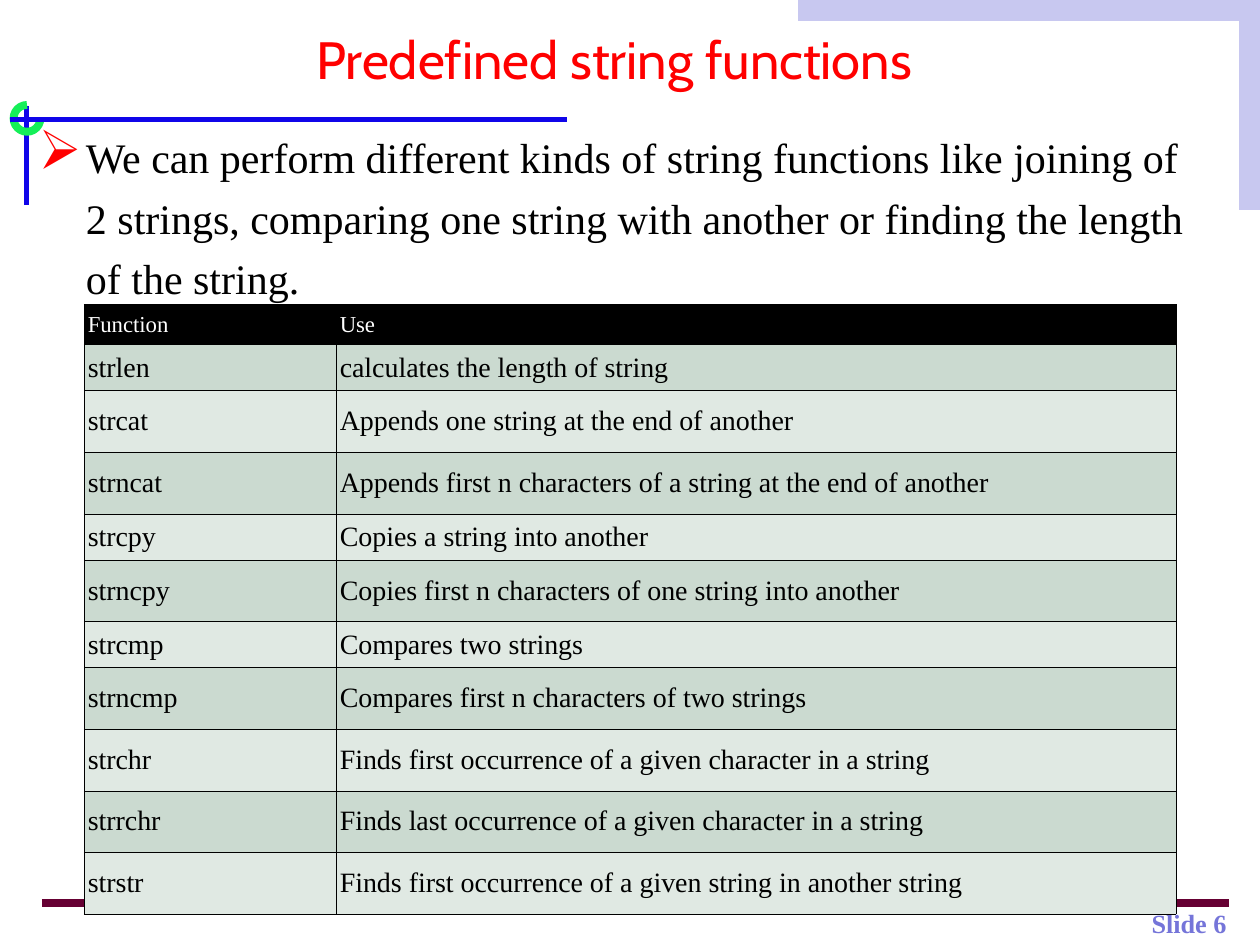
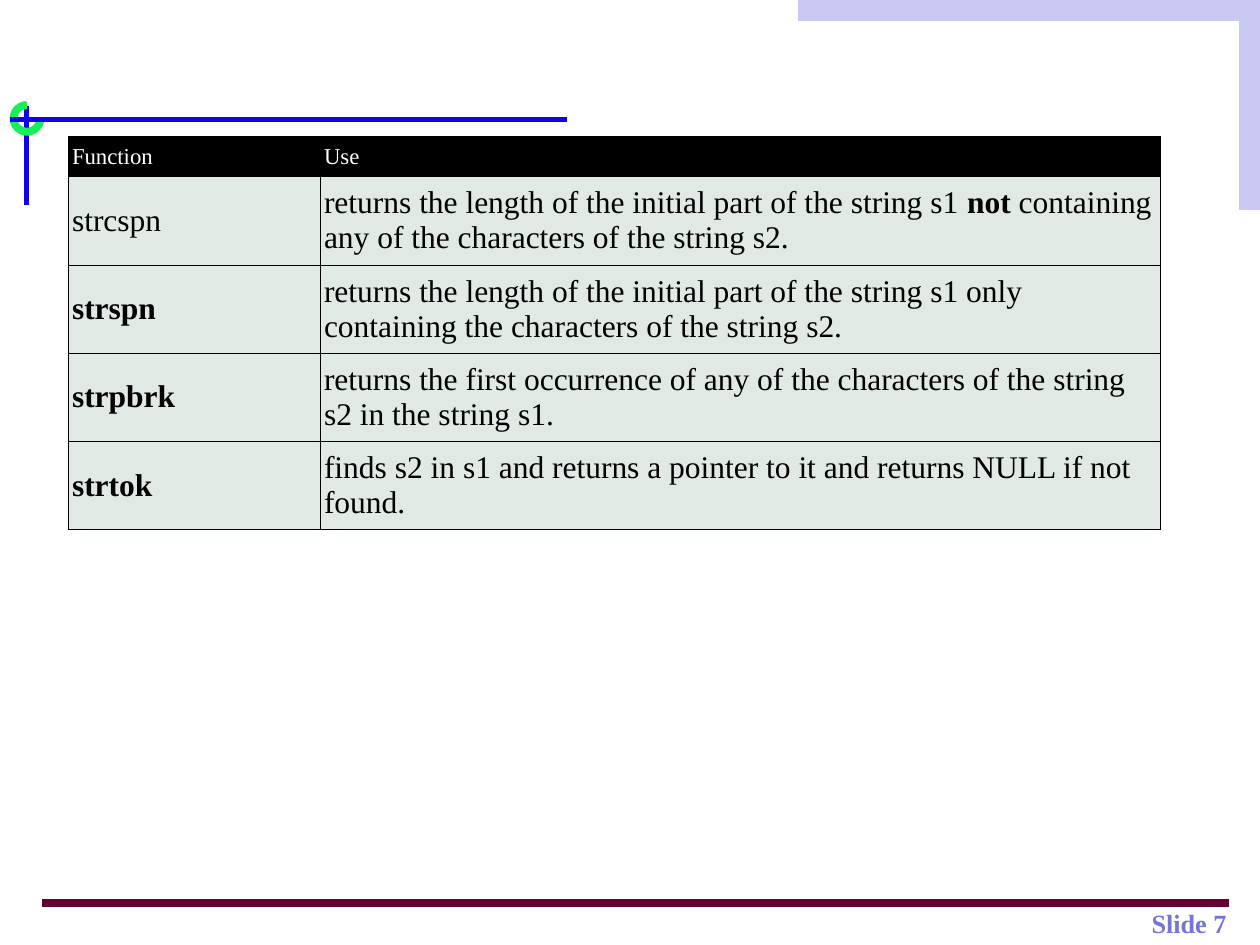
"""Build two slides that list the C string functions in tables."""
from dataclasses import dataclass

from lxml import etree
from pptx import Presentation
from pptx.dml.color import RGBColor
from pptx.enum.shapes import MSO_CONNECTOR, MSO_SHAPE
from pptx.enum.text import MSO_ANCHOR, PP_ALIGN
from pptx.oxml.ns import qn
from pptx.util import Emu, Inches, Pt

STRAIGHT = MSO_CONNECTOR.STRAIGHT
RECTANGLE, ARC = MSO_SHAPE.RECTANGLE, MSO_SHAPE.ARC
TOP, MIDDLE, BOTTOM = MSO_ANCHOR.TOP, MSO_ANCHOR.MIDDLE, MSO_ANCHOR.BOTTOM
LEFT, CENTER, RIGHT = PP_ALIGN.LEFT, PP_ALIGN.CENTER, PP_ALIGN.RIGHT

SLIDE_WIDTH, SLIDE_HEIGHT = Inches(10), Inches(7.5)
GRID_COLUMNS = 240
UNIT = SLIDE_WIDTH / GRID_COLUMNS

SERIF, TITLE_FONT = "Times New Roman", "Cabin"
BLACK, WHITE, RED = "000000", "FFFFFF", "FF0000"
LAVENDER, FOOTER_VIOLET, MAROON = "C8C8F0", "7575D9", "660033"
BLUE, GREEN = "1005E9", "15EF58"
DARK_BAND, LIGHT_BAND = "CBDAD0", "E0E9E3"

BOLD_MARK = "**"
HEADINGS = ("Function", "Use")
COLUMN_WIDTHS = (48, 160)
HEADER_ROW, SHORT_ROW, TALL_ROW, TWO_LINE_ROW = 6.72, 7.92, 11.72, 15.84


@dataclass(frozen=True)
class Box:
    """A rectangle in grid units."""
    left: float
    top: float
    width: float
    height: float

    def lengths(self) -> tuple:
        return tuple(grid(n) for n in (self.left, self.top, self.width, self.height))


@dataclass(frozen=True)
class Rule:
    """A straight line in grid units."""
    start: tuple
    end: tuple
    color: str
    points: float


@dataclass(frozen=True)
class Entry:
    """One table row: a function, its use and the row height."""
    function: str
    use: str
    height: float


@dataclass(frozen=True)
class FunctionTable:
    """A table of functions with its place, text size and band colours."""
    left: float
    top: float
    size: float
    bands: tuple
    entries: tuple


FOOTER_RULE = Rule((8, 172), (234, 172), MAROON, 4.5)
VERTICAL_RULE = Rule((5, 20.2), (5, 39), BLUE, 3)
TITLE_RULE = Rule((2, 22.8), (108, 22.8), BLUE, 3)
CORNER_BANDS = (Box(152, 0, 88, 4), Box(236, 4, 4, 36))
RING_BOX = Box(2.6, 20, 5.1, 5.1)
FOOTER_BOX = Box(8, 168, 228, 12)
TITLE_BOX = Box(0, 2, 234, 16.3)
BODY_BOX = Box(5, 22, 224, 108)

BODY = ("We can perform different kinds of string functions like joining of 2 strings, "
        "comparing one string with another or finding the length of the string.")

BASIC_FUNCTIONS = FunctionTable(16, 58, 16, (DARK_BAND, LIGHT_BAND), (
    Entry("strlen", "calculates the length of string", SHORT_ROW),
    Entry("strcat", "Appends one string at the end of another", TALL_ROW),
    Entry("strncat", "Appends first n characters of a string at the end of another", TALL_ROW),
    Entry("strcpy", "Copies a string into another", SHORT_ROW),
    Entry("strncpy", "Copies first n characters of one string into another", TALL_ROW),
    Entry("strcmp", "Compares two strings", SHORT_ROW),
    Entry("strncmp", "Compares first n characters of two strings", TALL_ROW),
    Entry("strchr", "Finds first occurrence of a given character in a string", TALL_ROW),
    Entry("strrchr", "Finds last occurrence of a given character in a string", TALL_ROW),
    Entry("strstr", "Finds first occurrence of a given string in another string", TALL_ROW),
))

SEARCH_FUNCTIONS = FunctionTable(13, 26, 18, (LIGHT_BAND,), (
    Entry("strcspn", "returns the length of the initial part of the string s1 **not **"
          "containing any of the characters of the string s2.", TWO_LINE_ROW),
    Entry("**strspn**", "returns the length of the initial part of the string s1 "
          "only containing the characters of the string s2.", TWO_LINE_ROW),
    Entry("**strpbrk**", "returns the first occurrence of any of the characters of the "
          "string s2 in the string s1.", TWO_LINE_ROW),
    Entry("**strtok**", "finds s2 in s1 and returns a pointer to it and returns NULL "
          "if not found.", TWO_LINE_ROW),
))


def grid(units: float) -> Emu:
    return Emu(round(units * UNIT))


def rgb(color: str) -> RGBColor:
    return RGBColor.from_string(color)


def write(frame, text: str, *, size: float, color: str = BLACK, font: str = SERIF,
          align=LEFT, anchor=TOP):
    """Fill a text frame, setting the parts between bold marks in bold."""
    frame.word_wrap = True
    frame.vertical_anchor = anchor
    paragraph = frame.paragraphs[0]
    paragraph.alignment = align
    for index, part in enumerate(text.split(BOLD_MARK)):
        if part:
            run = paragraph.add_run()
            run.text = part
            run.font.name = font
            run.font.size = Pt(size)
            run.font.bold = index % 2 == 1
            run.font.color.rgb = rgb(color)
    return paragraph


def add_text(slide, box: Box, text: str, **text_format):
    frame = slide.shapes.add_textbox(*box.lengths()).text_frame
    return write(frame, text, **text_format)


def add_rule(slide, rule: Rule) -> None:
    ends = [grid(n) for n in rule.start + rule.end]
    connector = slide.shapes.add_connector(STRAIGHT, *ends)
    connector.line.color.rgb = rgb(rule.color)
    connector.line.width = Pt(rule.points)
    etree.SubElement(connector._element.spPr, qn("a:effectLst"))


def add_band(slide, box: Box) -> None:
    shape = slide.shapes.add_shape(RECTANGLE, *box.lengths())
    shape.shadow.inherit = False
    shape.fill.solid()
    shape.fill.fore_color.rgb = rgb(LAVENDER)
    shape.line.fill.background()


def add_ring(slide) -> None:
    """Draw three quarters of a ring, open at the upper right."""
    shape = slide.shapes.add_shape(ARC, *RING_BOX.lengths())
    shape.shadow.inherit = False
    shape.adjustments[0] = 0
    shape.adjustments[1] = 162
    shape.fill.background()
    shape.line.color.rgb = rgb(GREEN)
    shape.line.width = Pt(4.5)


def add_bullet(paragraph) -> None:
    properties = paragraph._p.get_or_add_pPr()
    properties.set("marL", str(grid(9)))
    properties.set("indent", str(-grid(9)))
    color = etree.SubElement(properties, qn("a:buClr"))
    etree.SubElement(color, qn("a:srgbClr"), val=RED)
    etree.SubElement(properties, qn("a:buSzPct"), val="130000")
    etree.SubElement(properties, qn("a:buChar"), char="➢")


def add_borders(cell) -> None:
    properties = cell._tc.get_or_add_tcPr()
    for index, side in enumerate(("a:lnL", "a:lnR", "a:lnT", "a:lnB")):
        line = etree.Element(qn(side), w=str(Pt(0.28)))
        fill = etree.SubElement(line, qn("a:solidFill"))
        etree.SubElement(fill, qn("a:srgbClr"), val=BLACK)
        properties.insert(index, line)


def fill_cell(cell, text: str, fill: str, **text_format) -> None:
    write(cell.text_frame, text, **text_format)
    cell.vertical_anchor = MIDDLE
    cell.margin_left = cell.margin_right = Inches(0.03)
    cell.fill.solid()
    cell.fill.fore_color.rgb = rgb(fill)
    add_borders(cell)


def add_function_table(slide, content: FunctionTable) -> None:
    heights = [HEADER_ROW] + [entry.height for entry in content.entries]
    box = Box(content.left, content.top, sum(COLUMN_WIDTHS), sum(heights))
    table = slide.shapes.add_table(len(heights), len(HEADINGS), *box.lengths()).table
    table.horz_banding = False
    for column, width in zip(table.columns, COLUMN_WIDTHS):
        column.width = grid(width)
    for row, height in zip(table.rows, heights):
        row.height = grid(height)
    for column, heading in enumerate(HEADINGS):
        fill_cell(table.cell(0, column), heading, BLACK, size=13, color=WHITE)
    for index, entry in enumerate(content.entries):
        band = content.bands[index % len(content.bands)]
        for column, text in enumerate((entry.function, entry.use)):
            fill_cell(table.cell(index + 1, column), text, band, size=content.size)


def add_framed_slide(presentation, number: int):
    """Add a blank slide with the shared footer, bands and rules."""
    slide = presentation.slides.add_slide(presentation.slide_layouts[6])
    add_text(slide, FOOTER_BOX, f"**Slide {number}**", size=15, color=FOOTER_VIOLET,
             align=RIGHT, anchor=BOTTOM)
    add_rule(slide, FOOTER_RULE)
    for band in CORNER_BANDS:
        add_band(slide, band)
    add_rule(slide, VERTICAL_RULE)
    add_ring(slide)
    add_rule(slide, TITLE_RULE)
    return slide


def main() -> None:
    presentation = Presentation()
    presentation.slide_width, presentation.slide_height = SLIDE_WIDTH, SLIDE_HEIGHT

    slide = add_framed_slide(presentation, 6)
    add_text(slide, TITLE_BOX, "Predefined string functions", size=30, color=RED,
             font=TITLE_FONT, align=CENTER, anchor=BOTTOM)
    body = add_text(slide, BODY_BOX, BODY, size=24)
    body.line_spacing = 1.2
    body.space_before = Pt(6)
    add_bullet(body)
    add_function_table(slide, BASIC_FUNCTIONS)

    slide = add_framed_slide(presentation, 7)
    add_function_table(slide, SEARCH_FUNCTIONS)

    presentation.save("out.pptx")


if __name__ == "__main__":
    main()
